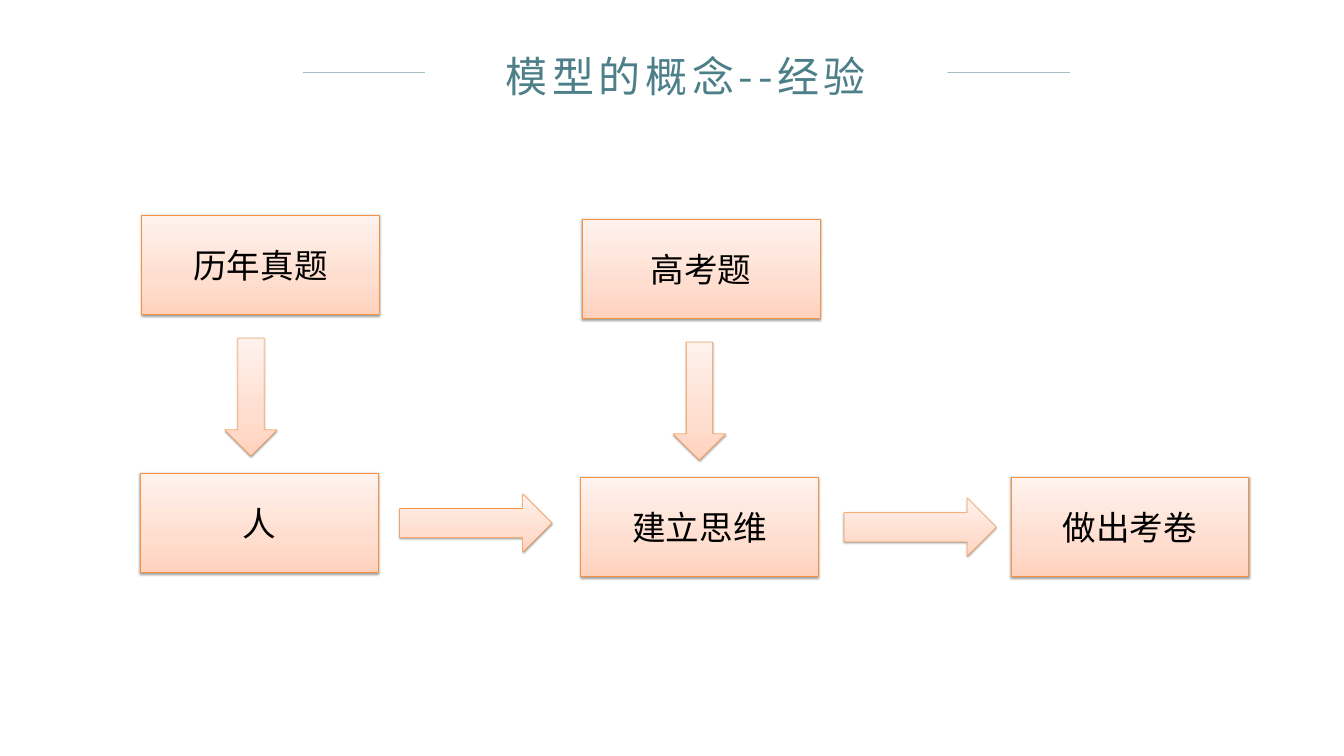
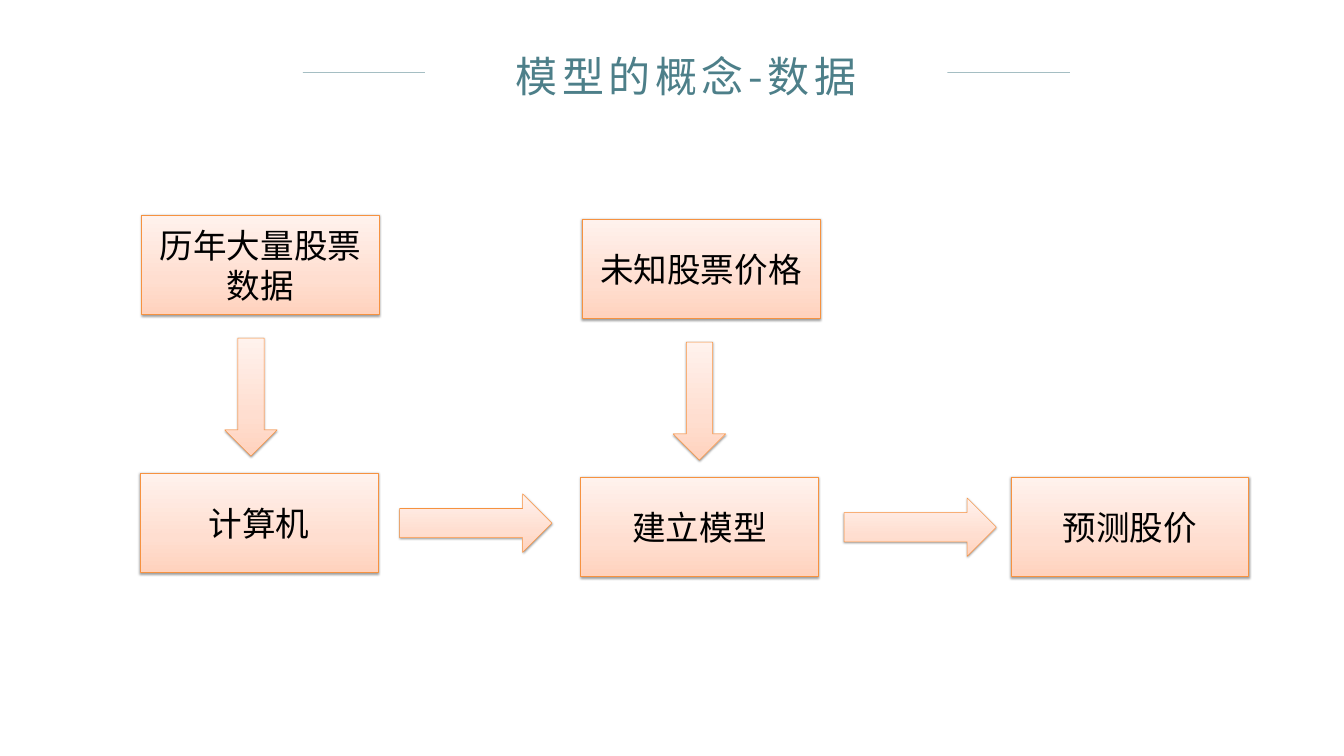
from lxml import etree
from pptx import Presentation
from pptx.dml.color import RGBColor
from pptx.enum.shapes import MSO_CONNECTOR, MSO_SHAPE
from pptx.enum.text import MSO_ANCHOR, PP_ALIGN
from pptx.oxml import parse_xml
from pptx.oxml.ns import nsdecls, qn
from pptx.util import Pt

RECT, DOWN, RIGHT = MSO_SHAPE.RECTANGLE, MSO_SHAPE.DOWN_ARROW, MSO_SHAPE.RIGHT_ARROW
STRAIGHT = MSO_CONNECTOR.STRAIGHT
CENTER, MIDDLE = PP_ALIGN.CENTER, MSO_ANCHOR.MIDDLE

PX = 9144  # 100 px to the inch
COLORS = {
    "title": "4D7F89", "text": "000000", "edge": "F69240", "shadow": "000000",
    "deep": "FFD2BD", "mid": "FFDED0", "pale": "FFF2ED",
}
TITLE_FONT, BOX_FONT = "Noto Sans CJK JP", "Calibri"

GRADIENT = f"""<a:gradFill {nsdecls('a')} rotWithShape="1"><a:gsLst>
<a:gs pos="0"><a:srgbClr val="{COLORS['deep']}"/></a:gs>
<a:gs pos="35000"><a:srgbClr val="{COLORS['mid']}"/></a:gs>
<a:gs pos="100000"><a:srgbClr val="{COLORS['pale']}"/></a:gs>
</a:gsLst><a:lin ang="16200000" scaled="1"/></a:gradFill>"""
SHADOW = f"""<a:effectLst {nsdecls('a')}>
<a:outerShdw blurRad="40000" dist="20000" dir="5400000" rotWithShape="0">
<a:srgbClr val="{COLORS['shadow']}"><a:alpha val="38000"/></a:srgbClr>
</a:outerShdw></a:effectLst>"""

BOX_SIZE, DOWN_SIZE, RIGHT_SIZE = (472, 197), (104, 234), (302, 116)
BOX_SPOTS = [(281, 427), (1155, 435), (278, 939), (1152, 947), (2006, 947)]
ARROWS = [
    (DOWN, (446, 671), DOWN_SIZE), (DOWN, (1336, 679), DOWN_SIZE),
    (RIGHT, (793, 980), RIGHT_SIZE), (RIGHT, (1675, 988), RIGHT_SIZE),
]
SLIDES = [
    ("模型的概念--经验", ["历年真题", "高考题", "人", "建立思维", "做出考卷"]),
    ("模型的概念-数据", ["历年大量股票数据", "未知股票价格", "计算机", "建立模型", "预测股价"]),
]


def add_title(shapes, text):
    """Add the heading with a thin rule on each side."""
    for x1, x2 in [(601, 843), (1880, 2123)]:
        line = shapes.add_connector(STRAIGHT, x1 * PX, 144 * PX, x2 * PX, 144 * PX)
        line.line.color.rgb = RGBColor.from_string(COLORS["title"])
        line.line.width = Pt(1)
        spPr = line._element.spPr
        etree.SubElement(spPr.find(".//" + qn("a:srgbClr")), qn("a:alpha"), val="50000")
        etree.SubElement(spPr, qn("a:effectLst"))

    tf = shapes.add_textbox(850 * PX, 95 * PX, 1022 * PX, 212 * PX).text_frame
    tf.word_wrap = True
    p = tf.paragraphs[0]
    p.alignment = CENTER
    r = p.add_run()
    r.text = text
    r.font.size = Pt(60)
    r.font.color.rgb = RGBColor.from_string(COLORS["title"])
    r.font.name = TITLE_FONT
    rPr = r._r.get_or_add_rPr()
    rPr.set("spc", "660")
    etree.SubElement(rPr, qn("a:ea"), typeface=TITLE_FONT)


def add_block(shapes, kind, spot, size, text=""):
    """Add a box or block arrow with the peach gradient and soft shadow."""
    sp = shapes.add_shape(kind, *[v * PX for v in spot + size])
    spPr = sp._element.spPr
    spPr.append(parse_xml(GRADIENT))
    sp.line.color.rgb = RGBColor.from_string(COLORS["edge"])
    sp.line.width = Pt(0.75)
    spPr.append(parse_xml(SHADOW))
    if text:
        tf = sp.text_frame
        tf.word_wrap = True
        tf.vertical_anchor = MIDDLE
        p = tf.paragraphs[0]
        p.text = text
        p.alignment = CENTER
        p.font.size = Pt(48)
        p.font.name = BOX_FONT
        p.font.color.rgb = RGBColor.from_string(COLORS["text"])


prs = Presentation()
prs.slide_width, prs.slide_height = 2667 * PX, 1500 * PX

for title, labels in SLIDES:
    s = prs.slides.add_slide(prs.slide_layouts[6])
    add_title(s.shapes.add_group_shape().shapes, title)
    flow = s.shapes.add_group_shape().shapes
    for spot, label in zip(BOX_SPOTS, labels):
        add_block(flow, RECT, spot, BOX_SIZE, label)
    for kind, spot, size in ARROWS:
        add_block(flow, kind, spot, size)

prs.save("out.pptx")
